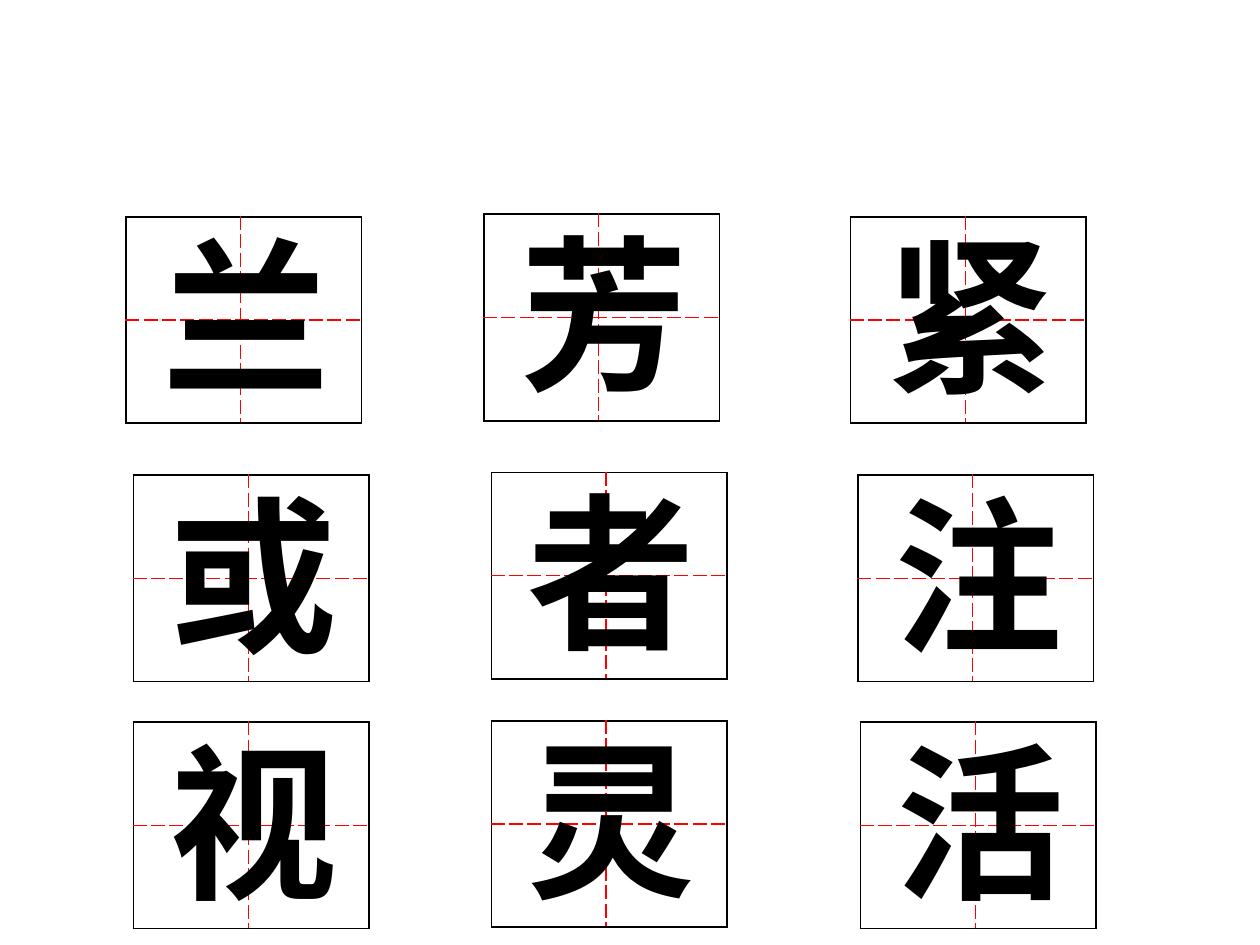
"""Build a slide of nine Chinese characters in dashed writing-practice squares."""
from lxml import etree
from pptx import Presentation
from pptx.dml.color import RGBColor
from pptx.enum.text import MSO_ANCHOR, MSO_AUTO_SIZE
from pptx.oxml.ns import qn
from pptx.util import Inches, Pt

TOP = MSO_ANCHOR.TOP
GROW = MSO_AUTO_SIZE.SHAPE_TO_FIT_TEXT

FONT = "Noto Sans CJK SC"
BLACK = RGBColor(0x00, 0x00, 0x00)
RED = RGBColor(0xFF, 0x00, 0x00)
OUTER = (BLACK, 1.08, "solid")
GUIDE = (RED, 0.75, "dash")

ROWS = [
    ("兰芳紧", (1.00, 3.84, 6.75), (1.72, 1.70, 1.72)),
    ("或者注", (1.06, 3.90, 6.81), (3.77, 3.75, 3.77)),
    ("视灵活", (1.06, 3.90, 6.83), (5.73, 5.72, 5.73)),
]
COLUMN_WIDTHS = (0.91, 0.96)
ROW_HEIGHT = 0.82
TEXT_OFFSET = (0.19, -0.08)
TEXT_SIZE = (1.48, 1.70)


def set_borders(cell, borders):
    properties = cell._tc.get_or_add_tcPr()
    for position, (side, (color, width, dash)) in enumerate(borders.items()):
        line = etree.Element(qn(f"a:ln{side}"), w=str(Pt(width)))
        fill = etree.SubElement(line, qn("a:solidFill"))
        etree.SubElement(fill, qn("a:srgbClr"), val=str(color))
        etree.SubElement(line, qn("a:prstDash"), val=dash)
        properties.insert(position, line)


def add_square(page, left, top):
    frame = page.shapes.add_table(
        2, 2, Inches(left), Inches(top),
        Inches(sum(COLUMN_WIDTHS)), Inches(2 * ROW_HEIGHT),
    )
    table = frame.table
    table.first_row = table.horz_banding = False
    for column, width in zip(table.columns, COLUMN_WIDTHS):
        column.width = Inches(width)
    for row_index, row in enumerate(table.rows):
        row.height = Inches(ROW_HEIGHT)
        for column_index, cell in enumerate(row.cells):
            cell.fill.background()
            set_borders(cell, {
                "L": GUIDE if column_index else OUTER,
                "R": OUTER if column_index else GUIDE,
                "T": GUIDE if row_index else OUTER,
                "B": OUTER if row_index else GUIDE,
            })


def add_text(page, text, left, top, size=96, color=BLACK, bold=True):
    box = page.shapes.add_textbox(
        Inches(left), Inches(top), *(Inches(length) for length in TEXT_SIZE)
    )
    frame = box.text_frame
    frame.word_wrap = True
    frame.auto_size = GROW
    frame.vertical_anchor = TOP
    span = frame.paragraphs[0].add_run()
    span.text = text
    span.font.size = Pt(size)
    span.font.bold = bold
    span.font.color.rgb = color
    span.font.name = FONT
    etree.SubElement(span.font._element, qn("a:ea"), typeface=FONT)


def main():
    deck = Presentation()
    deck.slide_width, deck.slide_height = Inches(10), Inches(7.5)
    page = deck.slides.add_slide(deck.slide_layouts[6])
    for characters, lefts, tops in ROWS:
        for character, left, top in zip(characters, lefts, tops):
            add_square(page, left, top)
            add_text(page, character, left + TEXT_OFFSET[0], top + TEXT_OFFSET[1])
    deck.save("out.pptx")


if __name__ == "__main__":
    main()
